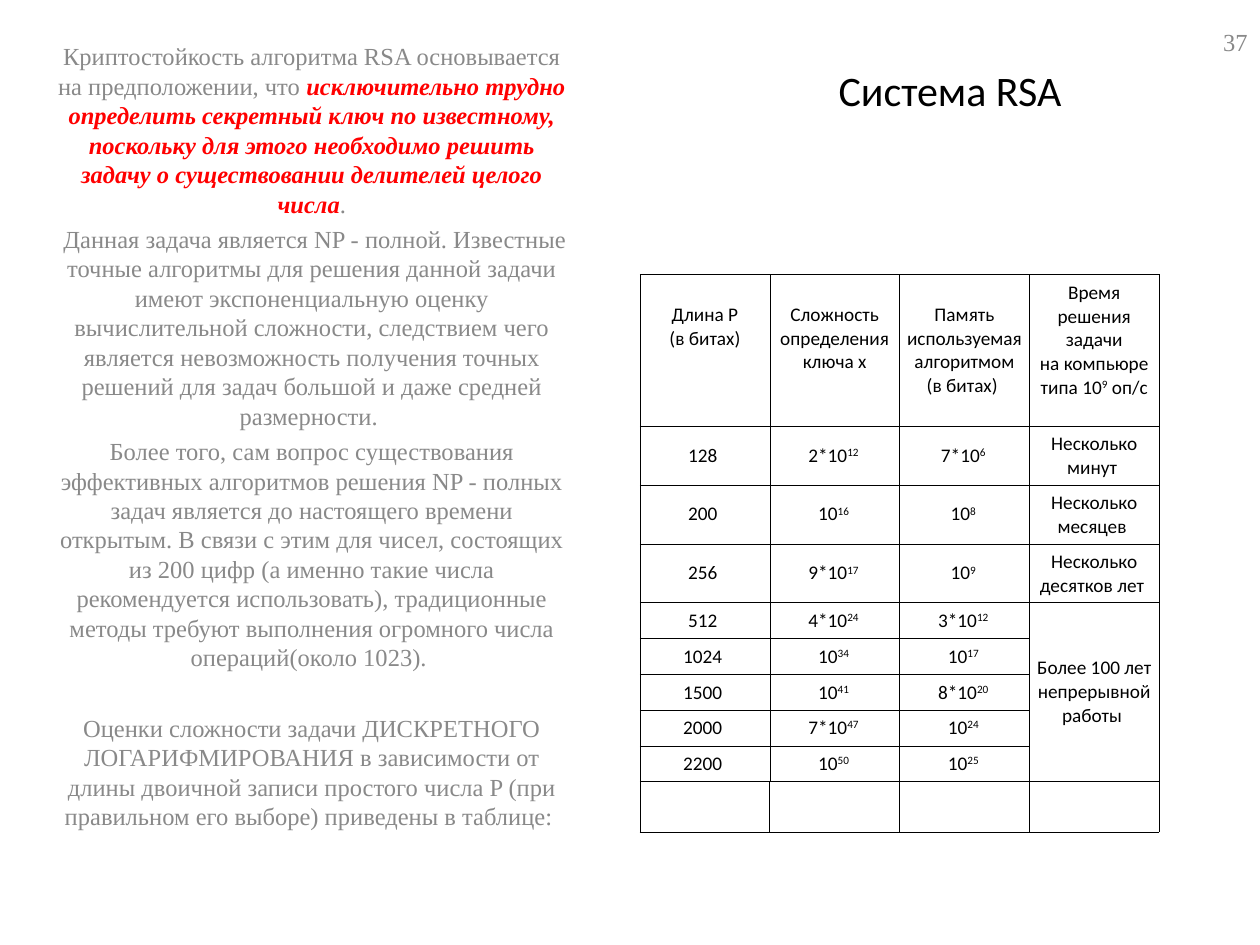
from copy import deepcopy

from lxml import etree
from pptx import Presentation
from pptx.dml.color import RGBColor
from pptx.enum.text import MSO_ANCHOR, PP_ALIGN
from pptx.oxml.ns import qn
from pptx.util import Inches, Pt

CENTER, RIGHT = PP_ALIGN.CENTER, PP_ALIGN.RIGHT
TOP, MIDDLE = MSO_ANCHOR.TOP, MSO_ANCHOR.MIDDLE

BLACK = RGBColor(0x00, 0x00, 0x00)
GRAY = RGBColor(0x89, 0x89, 0x89)
RED = RGBColor(0xFF, 0x00, 0x00)
SANS, SERIF = "Calibri", "Times New Roman"

TITLE = "Система RSA"
PAGE_NUMBER = "37"
BODY = [
    (0, [
        ("Криптостойкость алгоритма RSA основывается на предположении, что ", False),
        ("исключительно трудно определить секретный ключ по известному, поскольку для этого "
         "необходимо решить задачу о существовании делителей целого числа", True),
        (".", False),
    ]),
    (3.5, [
        (" Данная задача является NP - полной. Известные точные алгоритмы для решения данной "
         "задачи имеют экспоненциальную оценку вычислительной сложности, следствием чего "
         "является невозможность получения точных решений для задач большой и даже средней "
         "размерности. ", False),
    ]),
    (3.5, [
        ("Более того, сам вопрос существования эффективных алгоритмов решения NP - полных задач "
         "является до настоящего времени открытым. В связи с этим для чисел, состоящих из 200 "
         "цифр (а именно такие числа рекомендуется использовать), традиционные методы требуют "
         "выполнения огромного числа операций(около 1023). ", False),
    ]),
    (23.7, [
        ("Оценки сложности задачи ДИСКРЕТНОГО ЛОГАРИФМИРОВАНИЯ в зависимости от длины двоичной "
         "записи простого числа P (при правильном его выборе) приведены в таблице: ", False),
    ]),
]

SUPERSCRIPT_MARK = "^"
ROWS = [
    ["Длина P\n(в битах)\n\n", "Сложность\nопределения\nключа x\n",
     "Память\nиспользуемая\nалгоритмом\n(в битах) ",
     "Время решения задачи\nна компьюре типа 10^9^ оп/c\n"],
    ["128 ", "2*10^12 ", "7*10^6 ", "Несколько минут "],
    ["200 ", "10^16 ", "10^8 ", "Несколько месяцев "],
    ["256 ", "9*10^17 ", "10^9 ", "Несколько десятков лет "],
    ["512 ", "4*10^24 ", "3*10^12 ", "Более 100 лет непрерывной работы "],
    ["1024 ", "10^34 ", "10^17 ", ""],
    ["1500 ", "10^41 ", "8*10^20 ", ""],
    ["2000 ", "7*10^47 ", "10^24 ", ""],
    ["2200 ", "10^50 ", "10^25 ", ""],
    ["", "", "", ""],
]
ROW_HEIGHTS = [1.16] + [0.43] * 3 + [0.25] * 5 + [0.24]
COLUMN_WIDTH = 1.03
MERGED_ROWS = (4, 8)
THIN, THICK = 0.23, 0.45


def add_run(paragraph, text, font_name, size, color):
    run = paragraph.add_run()
    run.text = text
    run.font.name = font_name
    run.font.size = Pt(size)
    run.font.color.rgb = color
    return run


def add_text_box(slide, left, top, width, height, anchor):
    box = slide.shapes.add_textbox(Inches(left), Inches(top), Inches(width), Inches(height))
    frame = box.text_frame
    frame.word_wrap = True
    frame.vertical_anchor = anchor
    return frame


def add_line(slide, place, text, font_name, size, color, alignment):
    paragraph = add_text_box(slide, *place, MIDDLE).paragraphs[0]
    paragraph.alignment = alignment
    add_run(paragraph, text, font_name, size, color)
    return paragraph


def add_body(slide):
    frame = add_text_box(slide, 0.35, 0.28, 4.25, 6.68, TOP)
    for index, (space_before, runs) in enumerate(BODY):
        paragraph = frame.add_paragraph() if index else frame.paragraphs[0]
        paragraph.alignment = CENTER
        paragraph.space_before = Pt(space_before)
        for text, emphasized in runs:
            run = add_run(paragraph, text, SERIF, 14, RED if emphasized else GRAY)
            run.font.bold = run.font.italic = emphasized


def fill_cell(cell, text):
    paragraph = cell.text_frame.paragraphs[0]
    paragraph.alignment = CENTER
    for part_index, part in enumerate(text.split(SUPERSCRIPT_MARK)):
        for line_index, line in enumerate(part.split("\n")):
            if line_index:
                paragraph.add_line_break()
            if line:
                run = add_run(paragraph, line, SANS, 11, BLACK)
                if part_index % 2:
                    run.font._element.set("baseline", "30000")
    properties = paragraph.runs[0].font._element
    for line_break in paragraph._p.findall(qn("a:br")):
        line_break.append(deepcopy(properties))
    ending = etree.SubElement(paragraph._p, qn("a:endParaRPr"), dict(properties.attrib))
    for child in properties:
        ending.append(deepcopy(child))


def set_borders(cell, side_width, top_width, bottom_width):
    properties = cell._tc.get_or_add_tcPr()
    widths = {"lnL": side_width, "lnR": side_width, "lnT": top_width, "lnB": bottom_width}
    for index, (tag, width) in enumerate(widths.items()):
        line = etree.Element(qn(f"a:{tag}"), w=str(int(Pt(width))))
        fill = etree.SubElement(line, qn("a:solidFill"))
        etree.SubElement(fill, qn("a:srgbClr"), val=str(BLACK))
        properties.insert(index, line)


def add_complexity_table(slide):
    column_count = len(ROWS[0])
    table = slide.shapes.add_table(
        len(ROWS), column_count, Inches(5.08), Inches(2.18),
        Inches(COLUMN_WIDTH * column_count), Inches(sum(ROW_HEIGHTS))).table
    table.first_row = table.horz_banding = False
    for column in table.columns:
        column.width = Inches(COLUMN_WIDTH)
    for row_index, (texts, height) in enumerate(zip(ROWS, ROW_HEIGHTS)):
        table.rows[row_index].height = Inches(height)
        outer_width = THICK if row_index == len(ROWS) - 1 else THIN
        for column_index, text in enumerate(texts):
            cell = table.cell(row_index, column_index)
            cell.fill.background()
            cell.vertical_anchor = MIDDLE
            cell.margin_left = cell.margin_right = Inches(0.03)
            set_borders(cell, outer_width, THIN, outer_width)
            if text:
                fill_cell(cell, text)
    first, last = MERGED_ROWS
    table.cell(first, column_count - 1).merge(table.cell(last, column_count - 1))


def main():
    presentation = Presentation()
    presentation.slide_width = Inches(10)
    presentation.slide_height = Inches(7.5)
    slide = presentation.slides.add_slide(presentation.slide_layouts[6])
    title = add_line(slide, (5.63, 0.36, 3.62, 0.71), TITLE, SANS, 24, BLACK, CENTER)
    title._p.get_or_add_pPr().set("marL", str(Inches(0.2)))
    add_body(slide)
    add_line(slide, (9.48, 0.13, 0.52, 0.4), PAGE_NUMBER, SERIF, 14, GRAY, RIGHT)
    add_complexity_table(slide)
    presentation.save("out.pptx")


if __name__ == "__main__":
    main()
